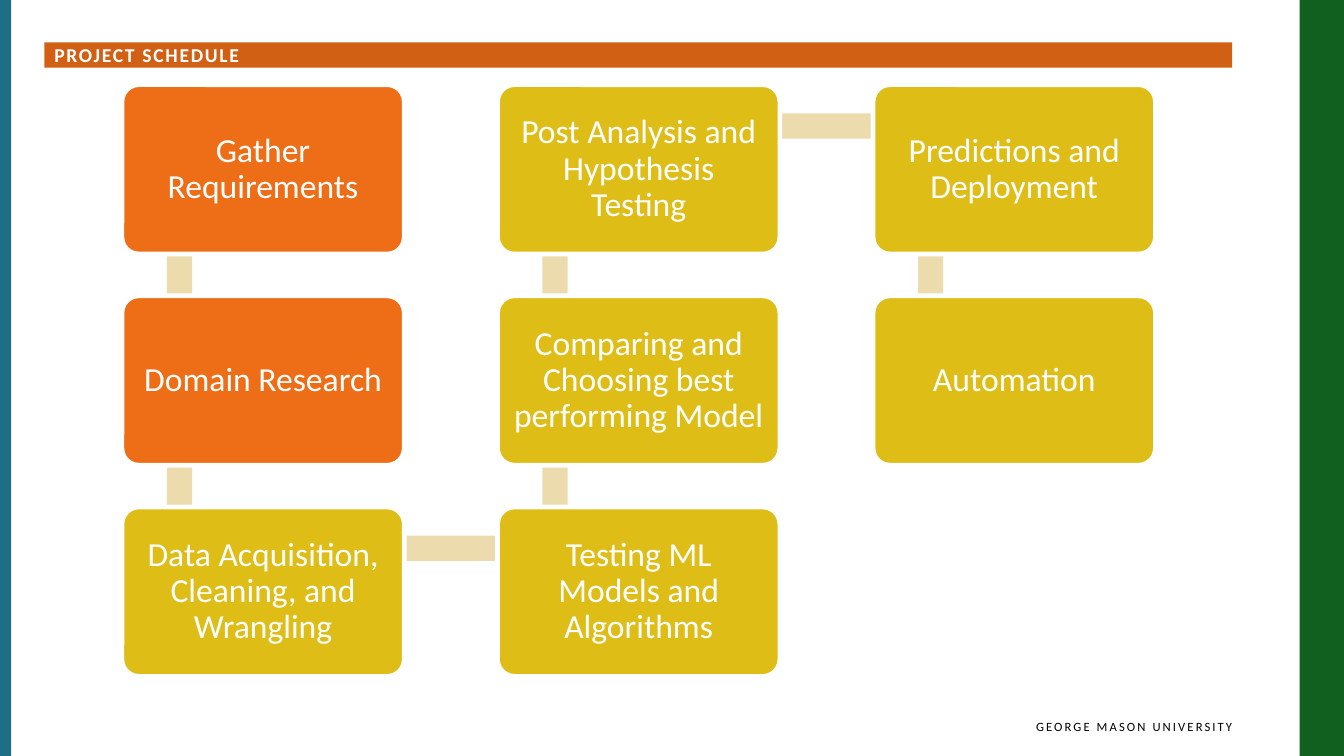
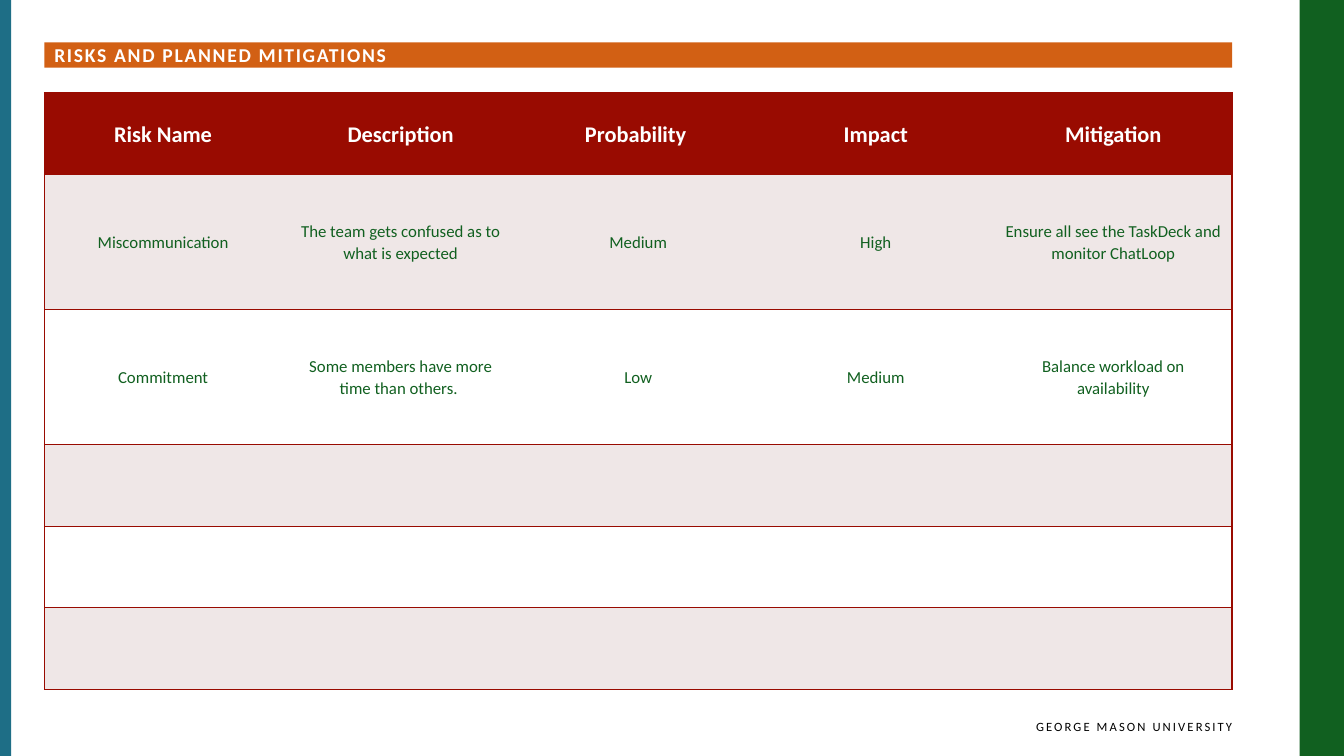
from dataclasses import dataclass
from itertools import pairwise

from lxml.etree import SubElement
from pptx import Presentation
from pptx.dml.color import RGBColor
from pptx.enum.shapes import MSO_SHAPE
from pptx.enum.text import MSO_ANCHOR, PP_ALIGN
from pptx.oxml.ns import qn
from pptx.util import Inches, Pt


@dataclass(frozen=True)
class Theme:
    font: str = "Calibri"
    white: str = "FFFFFF"
    black: str = "000000"
    green: str = "116020"
    teal: str = "1E6E86"
    title_band: str = "D26014"
    done: str = "EE6D17"
    planned: str = "DFBD17"
    link: str = "ECDBAC"
    dark_red: str = "990B01"
    row_tint: str = "EFE7E7"
    step_size: float = 24
    header_size: float = 16
    title_size: float = 14
    cell_size: float = 12
    footer_size: float = 9


T = Theme()
WIDTH, HEIGHT = 13.33, 7.5
CONTENT_LEFT, CONTENT_WIDTH = 0.44, 11.78
NO_STYLE_TABLE = "{2D5ABB26-0587-4C30-8999-92F81FD0307C}"

STEPS = [  # column, row, label, fill
    (0, 0, "Gather Requirements", T.done),
    (0, 1, "Domain Research", T.done),
    (0, 2, "Data Acquisition, Cleaning, and Wrangling", T.planned),
    (1, 2, "Testing ML Models and Algorithms", T.planned),
    (1, 1, "Comparing and Choosing best performing Model", T.planned),
    (1, 0, "Post Analysis and Hypothesis Testing", T.planned),
    (2, 0, "Predictions and Deployment", T.planned),
    (2, 1, "Automation", T.planned),
]

RISKS = [
    ("Risk Name", "Description", "Probability ", "Impact", "Mitigation"),
    ("Miscommunication", "The team gets confused as to what is expected",
     "Medium", "High", "Ensure all see the TaskDeck and monitor ChatLoop"),
    ("Commitment", "Some members have more time than others. ",
     "Low", "Medium", "Balance workload on availability"),
    ("",) * 5,
    ("",) * 5,
    ("",) * 5,
]
ROW_HEIGHTS = [0.81, 1.34, 1.34, 0.81, 0.81, 0.81]


def rgb(color):
    return RGBColor.from_string(color)


def add_block(s, x, y, w, h, fill, kind=MSO_SHAPE.RECTANGLE):
    sp = s.shapes.add_shape(kind, Inches(x), Inches(y), Inches(w), Inches(h))
    sp.shadow.inherit = False
    sp.fill.solid()
    sp.fill.fore_color.rgb = rgb(fill)
    sp.line.fill.background()
    return sp


def write(tf, text, size, color, align, bold=False, tracking=0, leading=1.0):
    p = tf.paragraphs[0]
    p.alignment = align
    p.line_spacing = leading
    r = p.add_run()
    r.text = text
    r.font.name = T.font
    r.font.size = Pt(size)
    r.font.bold = bold
    r.font.color.rgb = rgb(color)
    if tracking:
        r.font._element.set("spc", str(round(tracking * 100)))


def set_frame(tf, left, top, right, bottom, anchor):
    tf.word_wrap = True
    tf.vertical_anchor = anchor
    tf.margin_left, tf.margin_top = Inches(left), Inches(top)
    tf.margin_right, tf.margin_bottom = Inches(right), Inches(bottom)


def add_base_slide(prs, title):
    """Add a slide with the side bands, the footer and the title band."""
    s = prs.slides.add_slide(prs.slide_layouts[6])
    add_block(s, WIDTH - 0.44, 0, 0.44, HEIGHT, T.green)
    add_block(s, 0, 0, 0.11, HEIGHT, T.teal)

    footer = s.shapes.add_textbox(Inches(6.78), Inches(7.08), Inches(5.44), Inches(0.33))
    set_frame(footer.text_frame, 0.1, 0.05, 0, 0.05, MSO_ANCHOR.TOP)
    write(footer.text_frame, "GEORGE MASON UNIVERSITY", T.footer_size, T.black,
          PP_ALIGN.RIGHT, tracking=1.5)

    band = add_block(s, CONTENT_LEFT, 0.42, CONTENT_WIDTH, 0.25, T.title_band)
    set_frame(band.text_frame, 0.1, 0, 0.1, 0, MSO_ANCHOR.MIDDLE)
    write(band.text_frame, title, T.title_size, T.white, PP_ALIGN.LEFT,
          bold=True, tracking=1.2)
    return s


def add_step_flow(s, x, y, w, h):
    """Draw the steps on a 3 by 3 grid, with bars joining them in order."""
    step_w, step_h, bar = 2.8, 1.68, 0.25
    pitch_x, pitch_y = (w - step_w) / 2, (h - step_h) / 2
    corners = [(x + col * pitch_x, y + row * pitch_y) for col, row, _, _ in STEPS]
    joints = [(left + 0.57, top + 0.41) for left, top in corners]

    for (x1, y1), (x2, y2) in pairwise(joints):
        bar_w, bar_h = (bar, abs(y2 - y1)) if x1 == x2 else (abs(x2 - x1), bar)
        add_block(s, (x1 + x2 - bar_w) / 2, (y1 + y2 - bar_h) / 2, bar_w, bar_h, T.link)

    for (left, top), (_, _, label, fill) in zip(corners, STEPS):
        sp = add_block(s, left, top, step_w, step_h, fill, MSO_SHAPE.ROUNDED_RECTANGLE)
        sp.adjustments[0] = 0.1
        sp.line.color.rgb = rgb(T.white)
        sp.line.width = Pt(3.35)
        set_frame(sp.text_frame, 0.1, 0.1, 0.1, 0.1, MSO_ANCHOR.MIDDLE)
        write(sp.text_frame, label, T.step_size, T.white, PP_ALIGN.CENTER, leading=0.9)


def set_borders(cell, sides):
    """Rule the given sides of a cell, named in the order L, R, T, B."""
    for side in sides:
        ln = SubElement(cell._tc.get_or_add_tcPr(), qn(f"a:ln{side}"), w=str(Pt(1)))
        fill = SubElement(ln, qn("a:solidFill"))
        SubElement(fill, qn("a:srgbClr"), val=T.dark_red)


def add_risk_table(s, x, y, w):
    rows, cols = len(RISKS), len(RISKS[0])
    frame = s.shapes.add_table(rows, cols, Inches(x), Inches(y), Inches(w),
                               Inches(sum(ROW_HEIGHTS)))
    table = frame.table
    table._tbl.tblPr.find(qn("a:tableStyleId")).text = NO_STYLE_TABLE
    for column in table.columns:
        column.width = Inches(w / cols)
    for i, (texts, height) in enumerate(zip(RISKS, ROW_HEIGHTS)):
        table.rows[i].height = Inches(height)
        header = i == 0
        fill = T.dark_red if header else T.row_tint if i % 2 else T.white
        for j, text in enumerate(texts):
            cell = table.cell(i, j)
            cell.vertical_anchor = MSO_ANCHOR.MIDDLE
            set_borders(cell, "L" * (j == 0) + "R" * (j == cols - 1) + "TB")
            cell.fill.solid()
            cell.fill.fore_color.rgb = rgb(fill)
            if text:
                write(cell.text_frame, text,
                      T.header_size if header else T.cell_size,
                      T.white if header else T.green,
                      PP_ALIGN.CENTER, bold=header, leading=1.07)


def main():
    prs = Presentation()
    prs.slide_width, prs.slide_height = Inches(WIDTH), Inches(HEIGHT)
    add_step_flow(add_base_slide(prs, "PROJECT SCHEDULE"), 1.21, 0.84, 10.25, 5.87)
    add_risk_table(add_base_slide(prs, "RISKS AND PLANNED MITIGATIONS"),
                   CONTENT_LEFT, 0.92, CONTENT_WIDTH)
    prs.save("out.pptx")


if __name__ == "__main__":
    main()
